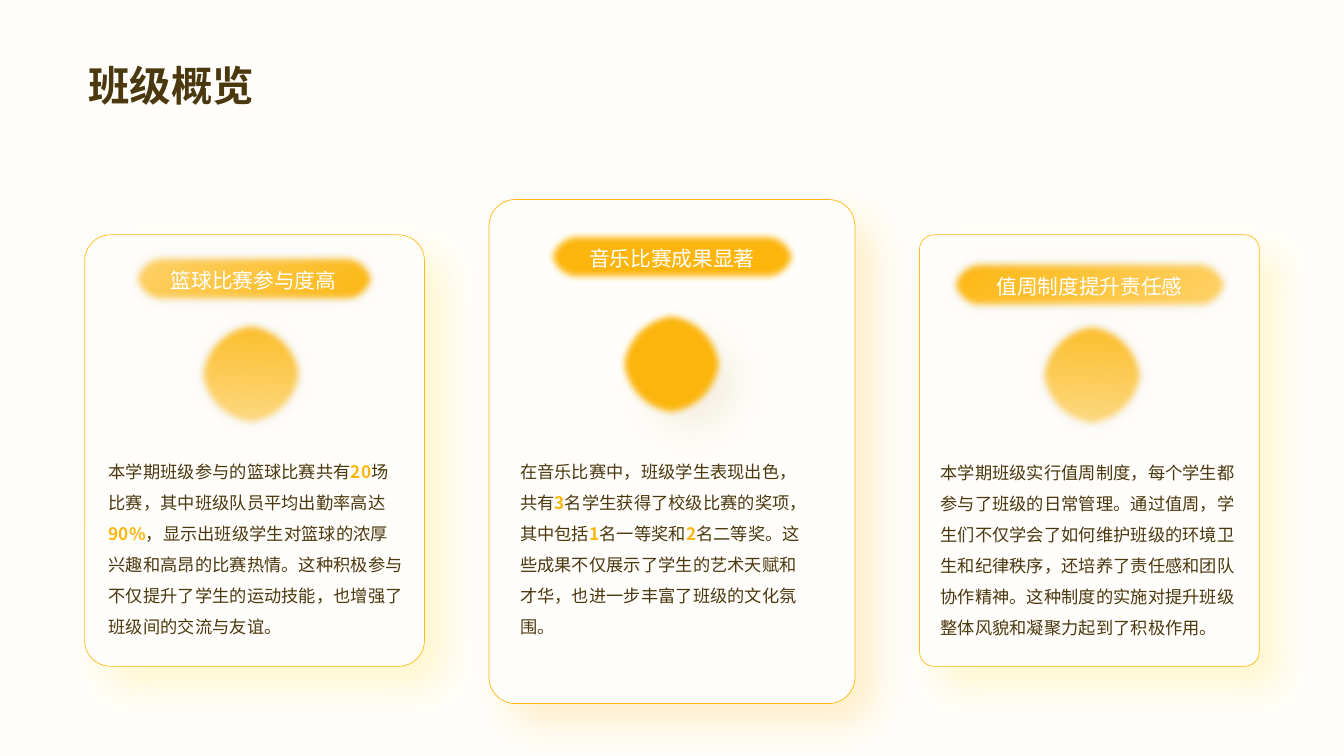
from lxml import etree
from pptx import Presentation
from pptx.dml.color import RGBColor
from pptx.enum.shapes import MSO_SHAPE
from pptx.enum.text import MSO_ANCHOR, PP_ALIGN
from pptx.oxml.ns import qn
from pptx.util import Inches, Pt

ROUNDED = MSO_SHAPE.ROUNDED_RECTANGLE
OVAL = MSO_SHAPE.OVAL
MIDDLE = MSO_ANCHOR.MIDDLE
TOP = MSO_ANCHOR.TOP
CENTER = PP_ALIGN.CENTER

FONT = "Noto Sans CJK SC"
COLORS = {
    "cream": "FFFEFA",
    "brown": "4C380F",
    "amber": "FDB60E",
    "border": "FFBB1A",
    "light": "FED36E",
    "pale": "FEE29F",
    "yellow": "FFDD27",
    "bronze": "A37820",
    "black": "000000",
    "white": "FFFFFF",
}
SOFT_EDGE = 5
GLOW = ("black", 6, 17, 0, 0)
YELLOW_DROP = ("yellow", 20, 27, 20, 45)
AMBER_DROP = ("amber", 20, 27, 20, 45)
BRONZE_DROP = ("bronze", 20, 27, 20, 45)

CARDS = [
    {
        "panel": (0.84, 2.33, 3.37, 4.28), "radius": 0.076,
        "border": "border", "panel_shadow": YELLOW_DROP,
        "pill": (1.29, 2.51, 2.45, 0.51), "pill_fill": ("light", "amber"),
        "pill_shadow": GLOW, "heading": "篮球比赛参与度高",
        "badge": (1.95, 3.17), "badge_fill": ("amber", "pale"),
        "badge_shadow": GLOW,
        "body": (0.98, 4.43, 3.13, 1.97),
        "segments": [
            "本学期班级参与的篮球比赛共有", "20",
            "场比赛，其中班级队员平均出勤率高达", "90%",
            "，显示出班级学生对篮球的浓厚兴趣和高昂的比赛热情。"
            "这种积极参与不仅提升了学生的运动技能，也增强了班级间的交流与友谊。",
        ],
    },
    {
        "panel": (4.85, 1.98, 3.63, 5), "radius": 0.072,
        "border": "amber", "panel_shadow": AMBER_DROP,
        "pill": (5.41, 2.29, 2.51, 0.51), "pill_fill": ("amber",),
        "pill_shadow": None, "heading": "音乐比赛成果显著",
        "badge": (6.12, 3.07), "badge_fill": ("amber",),
        "badge_shadow": BRONZE_DROP,
        "body": (5.06, 4.43, 3.08, 2.3),
        "segments": [
            "在音乐比赛中，班级学生表现出色，共有", "3",
            "名学生获得了校级比赛的奖项，其中包括", "1",
            "名一等奖和", "2",
            "名二等奖。这些成果不仅展示了学生的艺术天赋和才华，"
            "也进一步丰富了班级的文化氛围。",
        ],
    },
    {
        "panel": (9.12, 2.33, 3.37, 4.28), "radius": 0.043,
        "border": "border", "panel_shadow": YELLOW_DROP,
        "pill": (9.41, 2.57, 2.79, 0.51), "pill_fill": ("amber", "light"),
        "pill_shadow": GLOW, "heading": "值周制度提升责任感",
        "badge": (10.29, 3.18), "badge_fill": ("amber", "pale"),
        "badge_shadow": GLOW,
        "body": (9.23, 4.43, 3.2, 1.95),
        "segments": [
            "本学期班级实行值周制度，每个学生都参与了班级的日常管理。"
            "通过值周，学生们不仅学会了如何维护班级的环境卫生和纪律秩序，"
            "还培养了责任感和团队协作精神。"
            "这种制度的实施对提升班级整体风貌和凝聚力起到了积极作用。",
        ],
    },
]


def color(name):
    return RGBColor.from_string(COLORS[name])


def apply_fill(shape, names):
    if len(names) == 1:
        shape.fill.solid()
        shape.fill.fore_color.rgb = color(names[0])
        return
    shape.fill.gradient()
    shape.fill.gradient_angle = 315
    for stop, name in zip(shape.fill.gradient_stops, names):
        stop.color.rgb = color(name)


def apply_effects(shape, shadow, soft_edge):
    shape.shadow.inherit = False
    effects = shape._element.spPr.find(qn("a:effectLst"))
    if shadow:
        name, opacity, blur, distance, angle = shadow
        outer = etree.SubElement(
            effects, qn("a:outerShdw"), blurRad=str(Pt(blur)),
            dist=str(Pt(distance)), dir=str(angle * 60000),
            algn="ctr", rotWithShape="0")
        tint = etree.SubElement(outer, qn("a:srgbClr"), val=COLORS[name])
        etree.SubElement(tint, qn("a:alpha"), val=str(opacity * 1000))
    if soft_edge:
        etree.SubElement(effects, qn("a:softEdge"), rad=str(Pt(soft_edge)))


def add_figure(slide, kind, box, fill, shadow, soft_edge=0):
    shape = slide.shapes.add_shape(kind, *map(Inches, box))
    apply_fill(shape, fill)
    shape.line.fill.background()
    apply_effects(shape, shadow, soft_edge)
    return shape


def style_run(run, size, name, bold=False):
    run.font.size = Pt(size)
    run.font.name = FONT
    run.font.bold = bold
    run.font.color.rgb = color(name)
    etree.SubElement(run._r.get_or_add_rPr(), qn("a:ea"), typeface=FONT)


def add_text_box(slide, box, anchor):
    text_box = slide.shapes.add_textbox(*map(Inches, box))
    frame = text_box.text_frame
    frame.word_wrap = True
    frame.vertical_anchor = anchor
    return frame.paragraphs[0]


def add_title(slide, text):
    paragraph = add_text_box(slide, (0.78, 0.52, 10.34, 0.64), MIDDLE)
    paragraph.text = text
    style_run(paragraph.runs[0], 29.6, "brown", True)


def add_panel(slide, card):
    panel = add_figure(slide, ROUNDED, card["panel"], ("cream",), card["panel_shadow"])
    panel.adjustments[0] = card["radius"]
    panel.line.color.rgb = color(card["border"])
    panel.line.width = Pt(0.5)


def add_pill(slide, card):
    pill = add_figure(slide, ROUNDED, card["pill"], card["pill_fill"],
                      card["pill_shadow"], SOFT_EDGE)
    pill.adjustments[0] = 0.5
    frame = pill.text_frame
    frame.text = card["heading"]
    frame.word_wrap = True
    frame.vertical_anchor = MIDDLE
    paragraph = frame.paragraphs[0]
    paragraph.alignment = CENTER
    paragraph.line_spacing = 1.1
    style_run(paragraph.runs[0], 14.8, "white")


def add_badge(slide, card):
    badge = add_figure(slide, OVAL, (*card["badge"], 1.08, 1.08),
                       card["badge_fill"], card["badge_shadow"], SOFT_EDGE)
    badge.rotation = 47.1


def add_body(slide, card):
    paragraph = add_text_box(slide, card["body"], TOP)
    paragraph.line_spacing = 1.5
    paragraph.space_before = paragraph.space_after = Pt(1.5)
    for index, segment in enumerate(card["segments"]):
        figure = index % 2 == 1
        run = paragraph.add_run()
        run.text = segment
        style_run(run, 12.3, "amber" if figure else "brown", figure)


def main():
    presentation = Presentation()
    presentation.slide_width = Inches(13.33)
    presentation.slide_height = Inches(7.5)
    slide = presentation.slides.add_slide(presentation.slide_layouts[6])
    slide.background.fill.solid()
    slide.background.fill.fore_color.rgb = color("cream")
    add_title(slide, "班级概览")
    for card in CARDS:
        add_panel(slide, card)
        add_pill(slide, card)
        add_badge(slide, card)
        add_body(slide, card)
    presentation.save("out.pptx")


if __name__ == "__main__":
    main()
